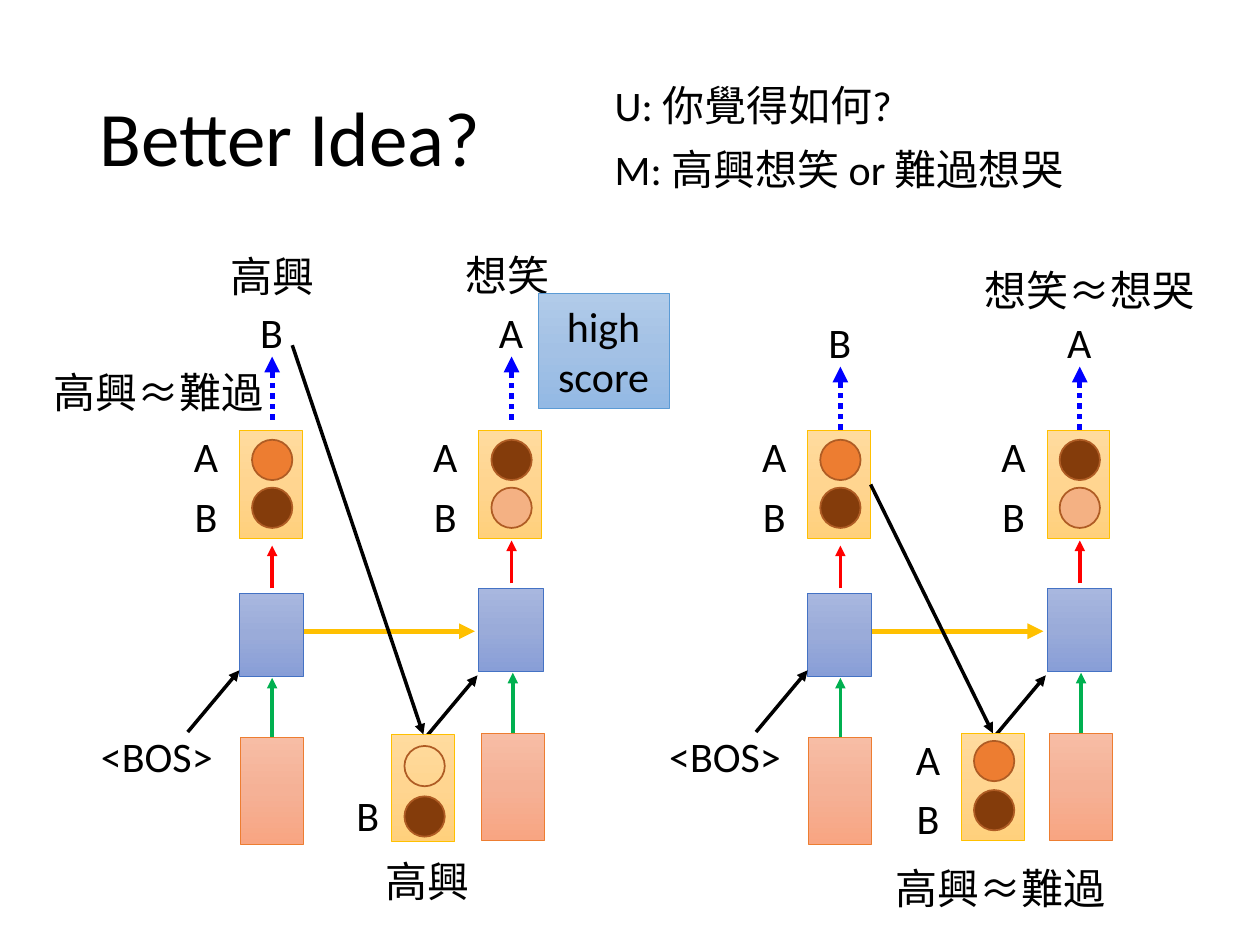
from copy import deepcopy

from pptx import Presentation
from pptx.dml.color import RGBColor
from pptx.enum.dml import MSO_LINE
from pptx.enum.shapes import MSO_CONNECTOR as LINE, MSO_SHAPE as SHAPE
from pptx.enum.text import MSO_ANCHOR as ANCHOR, PP_ALIGN as ALIGN
from pptx.oxml.ns import qn
from pptx.oxml.xmlchemy import OxmlElement
from pptx.util import Inches, Pt

BLACK, RED, GREEN, GOLD, BLUE = "000000", "FF0000", "00B050", "FFC000", "0000FF"
DARK, ORANGE, PALE = "843C0B", "ED7D31", "F4B183"
# Box styles: gradient from top to bottom, then the outline
CELL = (("A8B7DF", "9AABD9", "889ED7"), "4472C4")
INPUT = (("F7BDA5", "F5B196", "F8A582"), "ED7D31")
LAMP = (("FFDB9E", "FFD590", "FFD07C"), "FFC000")
SCORE = (("B1CBE9", "A3C1E5", "93B9E4"), "5B9BD5")
DOT = 0.32
TOP, RIGHT = 0, 3


def rgb(value):
    return RGBColor.from_string(value)


class Board:
    font = {"name": "Calibri", "size": Pt(24)}

    def __init__(self, slide):
        self.s = slide

    def fill_text(self, tf, lines, align, **extra):
        tf.word_wrap = False
        for i, line in enumerate(lines):
            p = tf.paragraphs[0] if i == 0 else tf.add_paragraph()
            p.alignment = align
            r = p.add_run()
            r.text = line
            for key, value in {**self.font, **extra}.items():
                setattr(r.font, key, value)
            r.font.color.rgb = rgb(BLACK)

    def text(self, words, x, y, w, h=0.5, align=ALIGN.CENTER, **extra):
        sp = self.s.shapes.add_textbox(*map(Inches, (x, y, w, h)))
        self.fill_text(sp.text_frame, [words], align, **extra)
        return sp

    def shape(self, kind, x, y, w, h, line, width):
        sp = self.s.shapes.add_shape(kind, *map(Inches, (x, y, w, h)))
        sp.shadow.inherit = False
        sp.line.color.rgb = rgb(line)
        sp.line.width = Pt(width)
        return sp

    def box(self, style, x, y, w=0.5, h=0.85):
        colours, line = style
        sp = self.shape(SHAPE.RECTANGLE, x, y, w, h, line, 0.5)
        sp.fill.gradient()
        sp.fill.gradient_angle = 270
        first = sp._element.spPr.find(".//" + qn("a:gs"))
        first.addnext(deepcopy(first))
        for i, (stop, colour) in enumerate(zip(sp.fill.gradient_stops, colours)):
            stop.position = i / 2
            stop.color.rgb = rgb(colour)
        return sp

    def dot(self, x, y, colour):
        sp = self.shape(SHAPE.OVAL, x, y, DOT, DOT, "AF5C24", 1)
        if colour:
            sp.fill.solid()
            sp.fill.fore_color.rgb = rgb(colour)
        else:
            sp.fill.background()

    def lamp(self, x, y, colours, offsets=(0.07, 0.45), labels=True):
        sp = self.box(LAMP, x, y)
        for colour, dy in zip(colours, offsets):
            self.dot(x + 0.1, y + dy, colour)
        if labels:
            for letter, dy in (("A", -0.05), ("B", 0.42)):
                self.text(letter, x - 0.53, y + dy, 0.53)
        return sp

    def arrow(self, start, end, colour, width=2, dash=None, begin=None, finish=None):
        c = self.s.shapes.add_connector(LINE.STRAIGHT, *map(Inches, (*start, *end)))
        c.line.color.rgb = rgb(colour)
        c.line.width = Pt(width)
        if dash:
            c.line.dash_style = dash
        head = OxmlElement("a:tailEnd")
        head.set("type", "triangle")
        spPr = c._element.spPr
        spPr.find(qn("a:ln")).append(head)
        spPr.append(OxmlElement("a:effectLst"))
        if begin:
            c.begin_connect(*begin)
        if finish:
            c.end_connect(*finish)

    def network(self, dx, out_y):
        """Draw two decoding steps; return the first output lamp."""
        lamps = []
        steps = ((1.9, 4.71, 1.91, 5.85, "B", (ORANGE, DARK)),
                 (3.8, 4.67, 3.82, 5.82, "A", (DARK, PALE)))
        for x, cell_y, in_x, in_y, letter, colours in steps:
            x, in_x = x + dx, in_x + dx
            mid = x + 0.26
            self.box(CELL, x, cell_y, 0.51, 0.66)
            source = self.box(INPUT, in_x, in_y)
            self.arrow((in_x + 0.25, in_y), (in_x + 0.25, cell_y + 0.67), GREEN,
                       begin=(source, TOP))
            self.arrow((mid, cell_y - 0.04), (mid, cell_y - 0.38), RED)
            lamps.append(self.lamp(x, 3.42, colours))
            self.arrow((mid, out_y + 0.95), (mid, out_y + 0.45), BLUE, 3,
                       MSO_LINE.ROUND_DOT)
            self.text(letter, mid - 0.43, out_y, 0.85)
        # Links between the steps and into the first one
        self.arrow((2.41 + dx, 5.01), (3.77 + dx, 5.01), GOLD, 3)
        self.arrow((1.49 + dx, 5.81), (1.9 + dx, 5.32), BLACK)
        self.arrow((3.38 + dx, 5.85), (3.79 + dx, 5.36), BLACK)
        self.text("<BOS>", 0.64 + dx, 5.75, 1.21)
        return lamps[0]


def main():
    prs = Presentation()
    prs.slide_width, prs.slide_height = Inches(10), Inches(7.5)
    b = Board(prs.slides.add_slide(prs.slide_layouts[6]))

    # Title and dialogue
    title = b.text("Better Idea?", 0.69, 0.4, 8.62, 1.45, ALIGN.LEFT, size=Pt(44))
    title.text_frame.vertical_anchor = ANCHOR.MIDDLE
    title.text_frame.paragraphs[0].line_spacing = 0.9
    b.text("U: 你覺得如何?", 4.78, 0.58, 3.29, align=ALIGN.LEFT)
    b.text("M: 高興想笑 or 難過想哭", 4.78, 1.09, 4.28, align=ALIGN.LEFT)

    # Left network: the sampled word is fed on
    b.network(0, 2.38)
    fed = b.lamp(3.11, 5.83, (None, DARK), (0.09, 0.49), labels=False)
    b.text("B", 2.7, 6.22, 0.44)
    b.arrow((2.32, 2.74), (3.38, 5.82), BLACK, finish=(fed, TOP))

    # Right network: the whole distribution is fed on
    first = b.network(4.51, 2.46)
    fed = b.lamp(7.63, 5.82, (ORANGE, DARK), (0.06, 0.45))
    b.arrow((6.92, 3.86), (7.89, 5.83), BLACK, begin=(first, RIGHT), finish=(fed, TOP))

    # Word labels
    for words, x, y, w in (("高興", 1.72, 1.94, 0.89), ("想笑", 3.58, 1.93, 0.89),
                           ("高興", 2.95, 6.74, 0.89), ("高興≈難過", 0.31, 2.86, 1.9),
                           ("高興≈難過", 6.99, 6.8, 1.9), ("想笑≈想哭", 7.68, 2.05, 1.94)):
        b.text(words, x, y, w)

    # Score tag
    tag = b.box(SCORE, 4.27, 2.33, 1.04, 0.91)
    b.fill_text(tag.text_frame, ["high", "score"], ALIGN.CENTER)

    prs.save("out.pptx")


if __name__ == "__main__":
    main()
